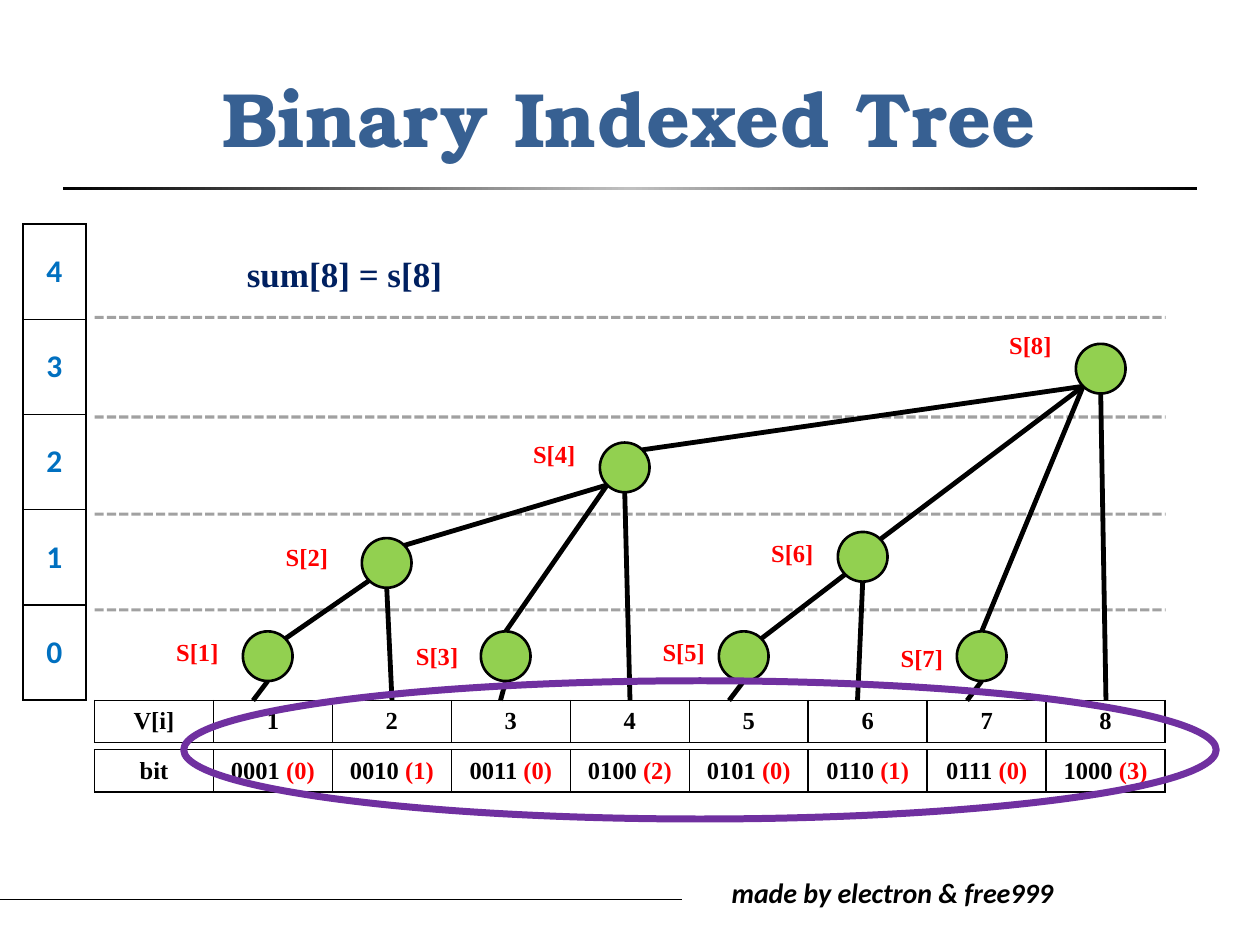
from copy import deepcopy
from dataclasses import dataclass
from math import sqrt

from lxml.etree import SubElement
from pptx import Presentation
from pptx.dml.color import RGBColor
from pptx.enum.dml import MSO_LINE
from pptx.enum.shapes import MSO_CONNECTOR, MSO_SHAPE
from pptx.enum.text import MSO_ANCHOR, MSO_AUTO_SIZE, PP_ALIGN
from pptx.oxml.ns import qn
from pptx.util import Pt


@dataclass(frozen=True)
class Theme:
    black: str = "000000"
    silver: str = "C0C0C0"
    title: str = "376092"
    level: str = "0070C0"
    label: str = "FF0000"
    formula: str = "002060"
    node: str = "92D050"
    highlight: str = "7030A0"
    heading_font: str = "TeX Gyre Bonum"
    body_font: str = "Calibri"
    diagram_font: str = "Times New Roman"
    title_size: int = 44
    formula_size: int = 20
    level_size: int = 18
    footer_size: int = 16
    label_size: int = 14


class TreePage:
    def __init__(self, page, theme):
        self.page = page
        self.theme = theme

    def style(self, span, font, size, color, italic=None):
        span.font.name = font
        span.font.size = Pt(size)
        span.font.bold = True
        span.font.italic = italic
        span.font.color.rgb = RGBColor.from_string(color)

    def text(self, words, left, top, width, height, font, size, color, italic=None):
        box = self.page.shapes.add_textbox(Pt(left), Pt(top), Pt(width), Pt(height))
        frame = box.text_frame
        frame.text = words
        frame.word_wrap = True
        frame.auto_size = MSO_AUTO_SIZE.SHAPE_TO_FIT_TEXT
        self.style(frame.paragraphs[0].runs[0], font, size, color, italic)
        return box

    def title(self, words):
        theme = self.theme
        box = self.text(words, 36, 21.6, 648, 90, theme.heading_font, theme.title_size, theme.title)
        box.text_frame.auto_size = MSO_AUTO_SIZE.NONE
        box.text_frame.vertical_anchor = MSO_ANCHOR.MIDDLE
        box.text_frame.paragraphs[0].alignment = PP_ALIGN.CENTER

    def line(self, start, end, width, dash=None, opacity=None):
        connector = self.page.shapes.add_connector(
            MSO_CONNECTOR.STRAIGHT, *(Pt(value) for value in (*start, *end)))
        connector.line.width = Pt(width)
        connector.line.color.rgb = RGBColor.from_string(self.theme.black)
        connector.line.dash_style = dash
        properties = connector._element.spPr
        if opacity:
            color = properties.find(".//" + qn("a:srgbClr"))
            SubElement(color, qn("a:alpha"), val=str(opacity * 1000))
        SubElement(properties, qn("a:effectLst"))

    def ellipse(self, left, top, width, height, color, weight, fill=None):
        shape = self.page.shapes.add_shape(MSO_SHAPE.OVAL, Pt(left), Pt(top), Pt(width), Pt(height))
        shape.shadow.inherit = False
        shape.line.color.rgb = RGBColor.from_string(color)
        shape.line.width = Pt(weight)
        if fill:
            shape.fill.solid()
            shape.fill.fore_color.rgb = RGBColor.from_string(fill)
        else:
            shape.fill.background()

    def gradient_bar(self, left, top, width, height, colors):
        shape = self.page.shapes.add_shape(
            MSO_SHAPE.RECTANGLE, Pt(left), Pt(top), Pt(width), Pt(height))
        shape.shadow.inherit = False
        shape.line.fill.background()
        shape.fill.gradient()
        shape.fill.gradient_angle = 0
        first = shape._element.spPr.find(".//" + qn("a:gs"))
        first.addnext(deepcopy(first))
        for index, (stop, color) in enumerate(zip(shape.fill.gradient_stops, colors)):
            stop.position = index / 2
            stop.color.rgb = RGBColor.from_string(color)

    def border(self, cell):
        properties = cell._tc.get_or_add_tcPr()
        for index, side in enumerate(("lnL", "lnR", "lnT", "lnB")):
            edge = SubElement(properties, qn("a:" + side), w=str(Pt(1)))
            fill = SubElement(edge, qn("a:solidFill"))
            SubElement(fill, qn("a:srgbClr"), val=self.theme.black)
            properties.insert(index, edge)

    def table(self, rows, left, top, column_width, row_height, font, size, colors):
        count = len(rows[0])
        frame = self.page.shapes.add_table(
            len(rows), count, Pt(left), Pt(top), Pt(column_width * count), Pt(row_height * len(rows)))
        table = frame.table
        table.first_row = table.horz_banding = False
        for column in table.columns:
            column.width = Pt(column_width)
        for row, values in zip(table.rows, rows):
            row.height = Pt(row_height)
            for cell, pieces in zip(row.cells, values):
                cell.fill.background()
                cell.vertical_anchor = MSO_ANCHOR.MIDDLE
                para = cell.text_frame.paragraphs[0]
                para.alignment = PP_ALIGN.CENTER
                for piece, color in zip(pieces, colors):
                    span = para.add_run()
                    span.text = piece
                    self.style(span, font, size, color)
                self.border(cell)


def main():
    theme = Theme()
    deck = Presentation()
    deck.slide_width, deck.slide_height = Pt(720), Pt(540)
    tree = TreePage(deck.slides.add_slide(deck.slide_layouts[6]), theme)

    tree.line((0, 514), (390, 514), 0.5)
    tree.text("made by electron & free999", 411, 497, 225, 27,
              theme.body_font, theme.footer_size, theme.black, True)
    tree.gradient_bar(36, 106.6, 648, 2.2, (theme.black, theme.silver, theme.black))
    tree.title("Binary Indexed Tree")

    column, grid_left, grid_right, base = 68, 54, 666, 400.3
    diagram = theme.diagram_font, theme.label_size
    indexes = range(1, 9)
    ranks = {index: (index & -index).bit_length() - 1 for index in indexes}
    values = [("V[i]",)] + [(str(index),) for index in indexes]
    bits = [("bit",)] + [(f"{index:04b} ", f"({ranks[index]})") for index in indexes]
    for cells, top in ((values, base), (bits, base + 28.1)):
        tree.table([cells], grid_left, top, column, 22.7, *diagram, (theme.black, theme.label))

    for top in (348.5, 293.8, 238.3, 181.4):
        tree.line((grid_left, top), (grid_right, top), 1.75, MSO_LINE.SQUARE_DOT, 36)
    tree.table([[(str(level),)] for level in range(4, -1, -1)], 13, 128, 36, 54.45,
               theme.body_font, theme.level_size, (theme.level,))

    diameter = 28.4
    radius = diameter / 2
    diagonal = radius / sqrt(2)
    node_tops = (360.8, 307.5, 360.8, 252.9, 360.8, 304, 360.8, 196.5)
    centers = {index: (153 + column * (index - 1), top + radius)
               for index, top in zip(indexes, node_tops)}
    for x, y in centers.values():
        tree.ellipse(x - radius, y - radius, diameter, diameter, theme.black, 1.5, theme.node)

    for child, parent in ((1, 2), (2, 4), (3, 4), (5, 6), (4, 8), (6, 8), (7, 8)):
        x, y = centers[parent]
        child_x, child_y = centers[child]
        end = (child_x, child_y - radius) if child in (3, 7) else (child_x + diagonal, child_y - diagonal)
        tree.line((x - diagonal, y + diagonal), end, 2.75)
    for (x, y), shift in zip(centers.values(), (-8.4, 3, -3, 3, -8.4, -3, -8.4, 3)):
        tree.line((x, y + radius), (x + shift, base), 2.75)

    label_places = ((93.6, 360.7), (156.2, 306), (230.6, 363), (297.5, 247.5),
                    (371.5, 360.7), (433.6, 303.8), (507.6, 363.8), (569.6, 185))
    for index, (left, top) in zip(indexes, label_places):
        tree.text(f"S[{index}]", left, top, 39.6, 24.2, *diagram, theme.label)
    tree.text("sum[8] = s[8]", 134, 140.5, 335, 31.5,
              theme.diagram_font, theme.formula_size, theme.formula)
    tree.ellipse(105, 389, 590, 79, theme.highlight, 4)

    deck.save("out.pptx")


if __name__ == "__main__":
    main()
